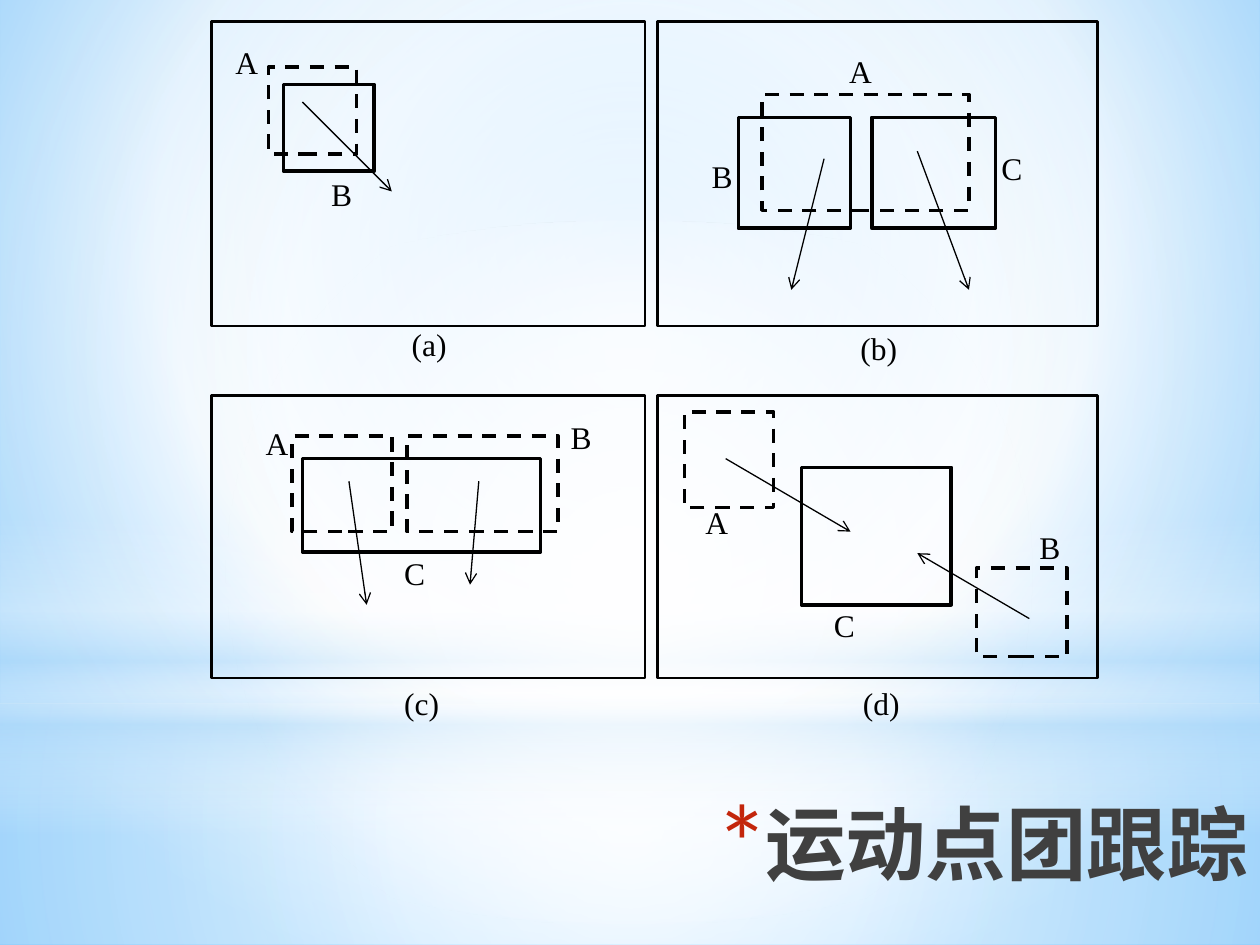
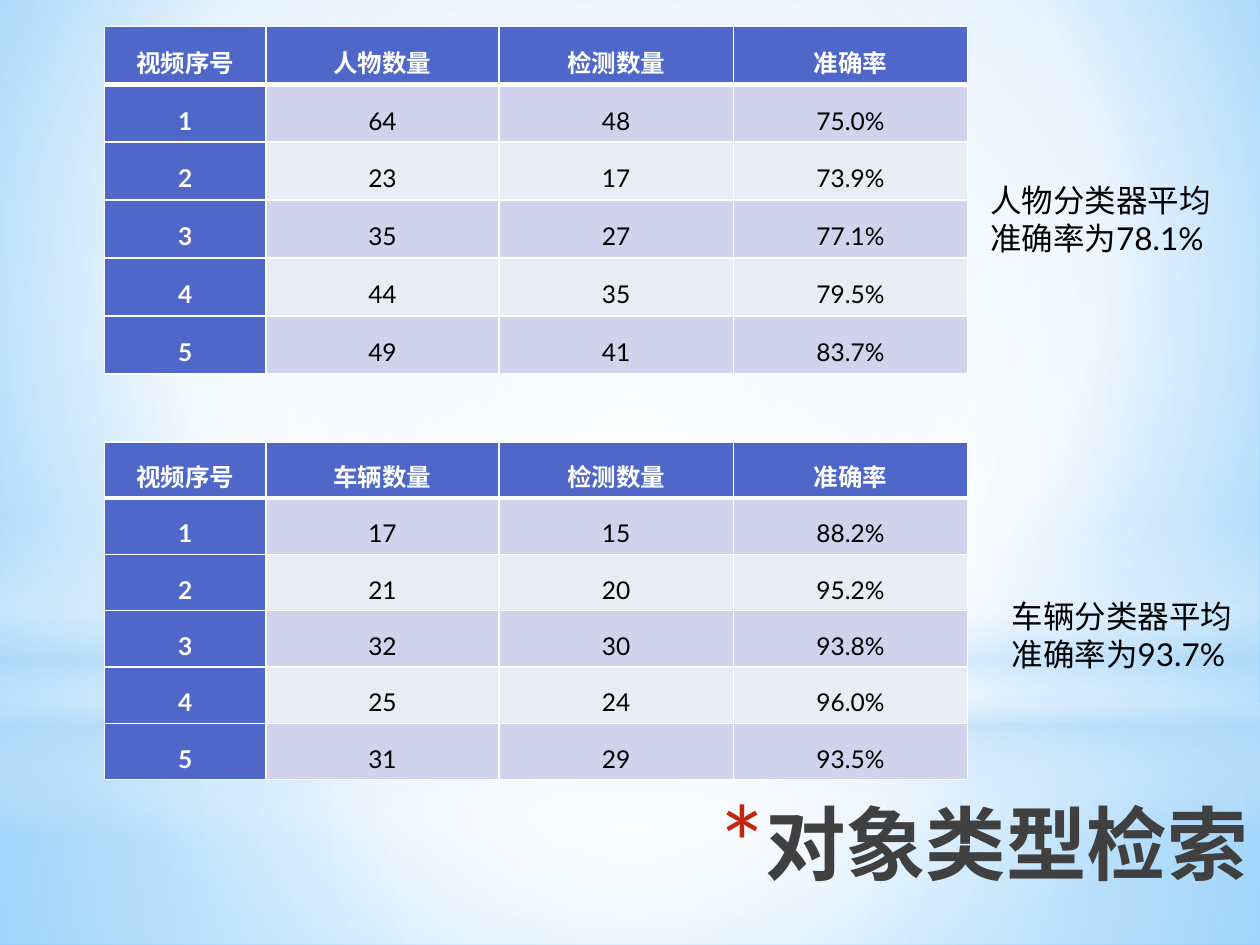
from dataclasses import dataclass
from itertools import product
from lxml.etree import SubElement
from pptx import Presentation
from pptx.dml.color import RGBColor
from pptx.enum.dml import MSO_LINE
from pptx.enum.shapes import MSO_CONNECTOR, MSO_SHAPE
from pptx.enum.text import MSO_ANCHOR, PP_ALIGN
from pptx.oxml.ns import qn
from pptx.util import Pt


@dataclass(frozen=True)
class Theme:
    black: str = "000000"
    white: str = "FFFFFF"
    gray: str = "404040"
    navy: str = "212745"
    red: str = "C3260C"
    head: str = "4E67C8"
    odd: str = "D0D3EB"
    even: str = "E9EBF5"
    sky: str = "9ED5FF"
    deep: str = "5BB9FF"
    mist: str = "B4DCFA"
    sans: str = "Lato"
    serif: str = "Times New Roman"
    title: float = 46
    body: float = 18
    cell: float = 14
    frame: float = 1.5
    box: float = 2
    arrow: float = 0.75


T = Theme()
WIDE, HIGH = 720, 540
HALF = (50, 50, 50, 50)

BANDS = [
    (MSO_SHAPE.RECTANGLE, (0, 401.8, WIDE, 138.2),
     [(0, T.white, 91), (37, T.white, 76), (100, T.mist, 79)], HALF),
    (MSO_SHAPE.RECTANGLE, (0, 0, WIDE, 401.8),
     [(0, T.white, 89), (48, T.white, 62), (100, T.mist, 79)], HALF),
    (MSO_SHAPE.RECTANGLE, (0, 296.6, WIDE, 180),
     [(0, T.white, 0), (29, T.white, 30), (45, T.mist, 40),
      (55, T.white, 26), (65, T.mist, 60), (100, T.white, 0)], None),
    (MSO_SHAPE.OVAL, (0, 126, WIDE, 401.8),
     [(0, T.white, 100), (56, T.white, 0)], HALF),
]

COLS = [(121, 247.7), (375.8, 251.3)]
ROWS = [(12.2, 174.2), (226.1, 161.3)]

PANELS = [
    dict(dashed=[(153.4, 38.2, 50.4, 49.7)],
         solid=[(162, 48.2, 51.8, 49.7)],
         arrows=[(172.8, 58.3, 223.9, 109.4)],
         labels=[("(a)", 228.2, 182.2), ("A", 127.4, 20.9), ("B", 182.2, 96.5)]),
    dict(dashed=[(435.6, 54, 118.1, 66.2)],
         solid=[(421.9, 67, 64.1, 63.4), (498.2, 67, 70.6, 63.4)],
         arrows=[(470.9, 90.7, 452.2, 165.6), (524.2, 86.4, 553.7, 165.6)],
         labels=[("(b)", 484.6, 184.3), ("A", 478.1, 25.9),
                 ("B", 399.6, 86.4), ("C", 565.2, 81.4)]),
    dict(dashed=[(167, 249.1, 56.9, 54.7), (232.6, 249.1, 86.4, 54.7)],
         solid=[(172.8, 262.1, 136.1, 53.3)],
         arrows=[(199.4, 275, 209.5, 345.6), (273.6, 275, 268.6, 334.1)],
         labels=[("(c)", 223.9, 387.4), ("A", 144.7, 239),
                 ("B", 319, 235.4), ("C", 223.9, 313.2)]),
    dict(dashed=[(391, 235.4, 51.1, 54.7), (558, 324.7, 51.8, 50.4)],
         solid=[(457.9, 267.1, 85.7, 78.5)],
         arrows=[(588.2, 353.5, 524.2, 316.1), (414.7, 262.1, 486, 303.8)],
         labels=[("(d)", 486, 387.4), ("A", 396, 283.7),
                 ("B", 586.8, 298.1), ("C", 469.4, 342.7)]),
]

TABLES = [
    dict(kind="人物", top=15.1, rows=[33.1] * 6,
         counts=[(64, 48), (23, 17), (35, 27), (44, 35), (49, 41)],
         mean="78.1%", note=(558.7, 100.1)),
    dict(kind="车辆", top=252.7, rows=[31.9] + [32.2] * 5,
         counts=[(17, 15), (21, 20), (32, 30), (25, 24), (31, 29)],
         mean="93.7%", note=(571, 337.7)),
]


def rgb(code):
    return RGBColor.from_string(code)


def node(parent, tag, **attrs):
    return SubElement(parent, qn(tag), {k: str(v) for k, v in attrs.items()})


def blend(fill, owner, stops, focus=None):
    fill.background()
    blank = owner.find(qn("a:noFill"))
    grad = node(owner, "a:gradFill", rotWithShape=1)
    owner.replace(blank, grad)
    items = node(grad, "a:gsLst")
    for place, code, alpha in stops:
        stop = node(items, "a:gs", pos=place * 1000)
        color = node(stop, "a:srgbClr", val=code)
        if alpha < 100:
            node(color, "a:alpha", val=alpha * 1000)
    if focus:
        shade = node(grad, "a:path", path="circle")
        sides = {side: n * 1000 for side, n in zip("ltrb", focus)}
        node(shade, "a:fillToRect", **sides)
    else:
        node(grad, "a:lin", ang=5400000, scaled=0)


def write(frame, words, size=T.body, font=T.sans, color=T.black, bold=False,
          align=PP_ALIGN.LEFT, space=None):
    frame.word_wrap = True
    para = frame.paragraphs[0]
    para.alignment = align
    if space:
        para.line_spacing = space
    run = para.add_run()
    run.text = words
    run.font.size = Pt(size)
    run.font.name = font
    run.font.bold = bold
    run.font.color.rgb = rgb(color)
    node(run.font._element, "a:ea", typeface=font)
    return para, run


def add_text(slide, words, place, **style):
    area = slide.shapes.add_textbox(*map(Pt, place))
    return write(area.text_frame, words, **style)


def add_back(slide):
    fill = slide.background.fill
    fill.solid()
    blend(fill, slide.background._cSld.bg.bgPr,
          [(0, T.sky, 100), (60, T.white, 100), (100, T.deep, 100)],
          (20, 10, 20, 60))
    for kind, place, stops, focus in BANDS:
        band = slide.shapes.add_shape(kind, *map(Pt, place))
        band.shadow.inherit = False
        band.line.fill.background()
        blend(band.fill, band._element.spPr, stops, focus)


def add_title(slide, words, left):
    para, run = add_text(slide, words, (left, 450, WIDE - left, 90),
                         size=T.title, bold=True, align=PP_ALIGN.RIGHT)
    blend(run.font.fill, run.font._element,
          [(0, T.black, 100), (40, T.gray, 100), (100, T.navy, 65)])
    props = para._p.get_or_add_pPr()
    props.set("marL", str(Pt(25.2)))
    props.set("indent", str(-Pt(25.2)))
    node(node(props, "a:buClr"), "a:srgbClr", val=T.red)
    node(props, "a:buSzPct", val=128000)
    node(props, "a:buFont", typeface=T.sans)
    node(props, "a:buChar", char="*")


def add_box(slide, place, width=T.box, dashed=False):
    box = slide.shapes.add_shape(MSO_SHAPE.RECTANGLE, *map(Pt, place))
    box.shadow.inherit = False
    box.fill.background()
    box.line.color.rgb = rgb(T.black)
    box.line.width = Pt(width)
    if dashed:
        box.line.dash_style = MSO_LINE.DASH


def add_arrow(slide, ends):
    arrow = slide.shapes.add_connector(MSO_CONNECTOR.STRAIGHT, *map(Pt, ends))
    arrow.line.color.rgb = rgb(T.black)
    arrow.line.width = Pt(T.arrow)
    node(arrow.line._get_or_add_ln(), "a:tailEnd", type="arrow")
    node(arrow._element.spPr, "a:effectLst")


def add_panel(slide, col, row, panel):
    (left, width), (top, height) = COLS[col], ROWS[row]
    add_box(slide, (left, top, width, height), T.frame)
    for place in panel["dashed"]:
        add_box(slide, place, dashed=True)
    for place in panel["solid"]:
        add_box(slide, place)
    for ends in panel["arrows"]:
        add_arrow(slide, ends)
    for words, x, y in panel["labels"]:
        room = 39.6 if len(words) > 1 else (31.7, 26.6)[row]
        add_text(slide, words, (x, y, room, 29.5), font=T.serif,
                 align=PP_ALIGN.JUSTIFY)


def edge(cell, **widths):
    props = cell._tc.get_or_add_tcPr()
    for spot, side in enumerate("LRTB"):
        line = node(props, f"a:ln{side}", w=Pt(widths.get(side, 1)))
        node(node(line, "a:solidFill"), "a:srgbClr", val=T.white)
        props.insert(spot, line)


def add_table(slide, kind, top, rows, counts, mean, note):
    cells = [("视频序号", f"{kind}数量", "检测数量", "准确率")]
    for rank, (total, found) in enumerate(counts, 1):
        cells.append((str(rank), str(total), str(found), f"{found / total:.1%}"))
    widths = (92.2, 133.2, 133.9, 133.9)
    place = (59.8, top, sum(widths), sum(rows))
    grid = slide.shapes.add_table(len(rows), len(widths), *map(Pt, place)).table
    for col, width in zip(grid.columns, widths):
        col.width = Pt(width)
    for row, height in zip(grid.rows, rows):
        row.height = Pt(height)
    for r, c in product(range(len(rows)), range(len(widths))):
        cell = grid.cell(r, c)
        head = r == 0 or c == 0
        cell.margin_left = cell.margin_right = Pt(5)
        cell.margin_top = cell.margin_bottom = 0
        cell.vertical_anchor = MSO_ANCHOR.MIDDLE
        cell.fill.solid()
        cell.fill.fore_color.rgb = rgb(T.head if head else T.odd if r % 2 else T.even)
        edge(cell, B=3 if r == 0 else 1, T=3 if r == 1 else 1)
        write(cell.text_frame, cells[r][c], size=T.cell, bold=head, space=1.5,
              color=T.white if head else T.black, align=PP_ALIGN.CENTER)
    add_text(slide, f"{kind}分类器平均准确率为{mean}", (*note, 141.8, 51.1))


def add_slide(deck, title, left):
    slide = deck.slides.add_slide(deck.slide_layouts[6])
    add_back(slide)
    add_title(slide, title, left)
    return slide


def main():
    deck = Presentation()
    deck.slide_width, deck.slide_height = Pt(WIDE), Pt(HIGH)
    blobs = add_slide(deck, "运动点团跟踪", 393.8)
    for (row, col), panel in zip(product(range(2), repeat=2), PANELS):
        add_panel(blobs, col, row, panel)
    types = add_slide(deck, "对象类型检索", 207.4)
    for table in TABLES:
        add_table(types, **table)
    deck.save("out.pptx")


if __name__ == "__main__":
    main()
